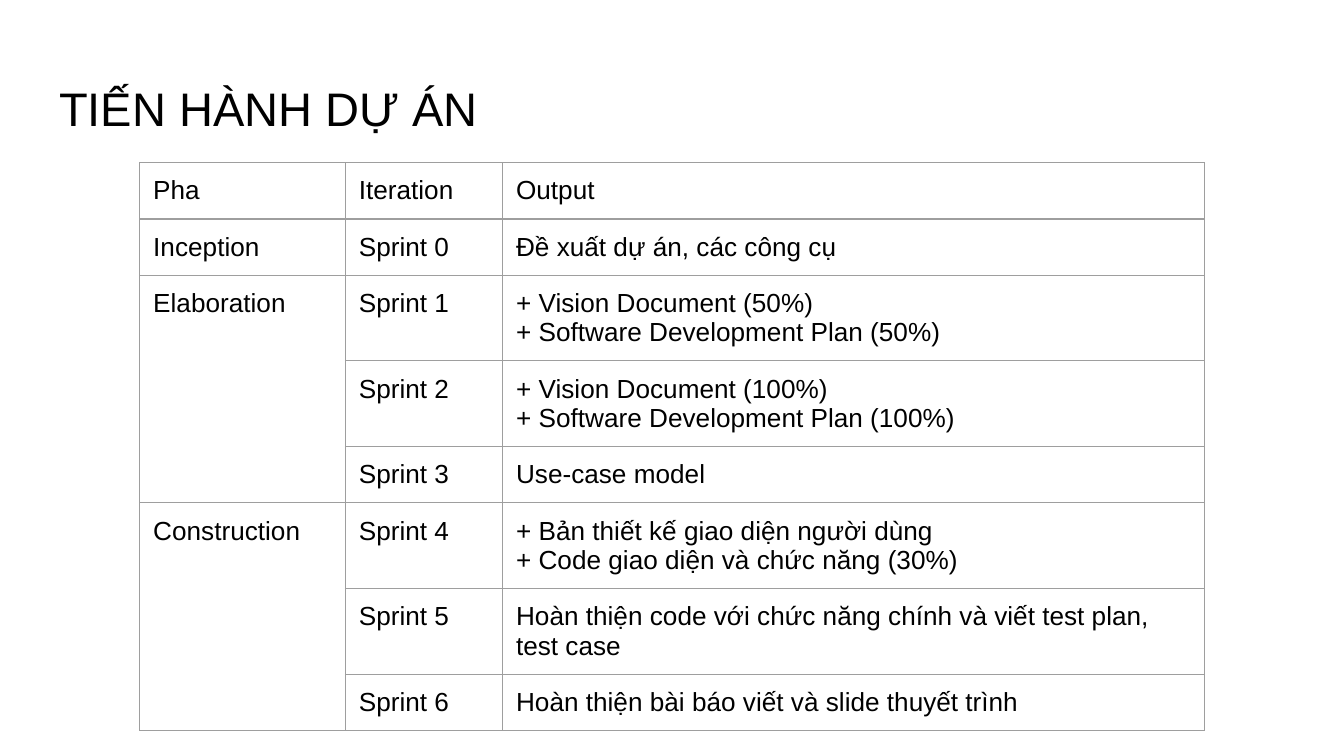
from lxml.etree import SubElement as Sub
from pptx import Presentation
from pptx.dml.color import RGBColor
from pptx.enum.text import MSO_ANCHOR as Anchor, PP_ALIGN as Align
from pptx.oxml.ns import qn
from pptx.util import Inches, Pt

BLACK = RGBColor(0x00, 0x00, 0x00)
GREY = RGBColor(0x9E, 0x9E, 0x9E)
PAD = Inches(0.1)
WIDTHS = (1.53, 1.17, 5.22)
HEIGHT = Inches(5 / 12)
PHASES = (
    ("Pha", (("Iteration", "Output"),)),
    ("Inception", (("Sprint 0", "Đề xuất dự án, các công cụ"),)),
    ("Elaboration", (
        ("Sprint 1", "+ Vision Document (50%)\n+ Software Development Plan (50%)"),
        ("Sprint 2", "+ Vision Document (100%)\n+ Software Development Plan (100%)"),
        ("Sprint 3", "Use-case model"),
    )),
    ("Construction", (
        ("Sprint 4", "+ Bản thiết kế giao diện người dùng\n+ Code giao diện và chức năng (30%)"),
        ("Sprint 5", "Hoàn thiện code với chức năng chính và viết test plan, test case"),
        ("Sprint 6", "Hoàn thiện bài báo viết và slide thuyết trình"),
    )),
)


def write(frame, text, size=14, font="Arial", color=BLACK, align=Align.LEFT):
    """Put formatted text into a frame, one paragraph a line."""
    frame.text = text
    for para in frame.paragraphs:
        para.alignment = align
        for run in para.runs:
            run.font.size = Pt(size)
            run.font.name = font
            run.font.color.rgb = color


def inset(box):
    """Set equal margins on a cell or text frame, with its text at the top."""
    box.margin_left = box.margin_right = PAD
    box.margin_top = box.margin_bottom = PAD
    box.vertical_anchor = Anchor.TOP


def edge(cell, color=GREY, width=0.75):
    """Draw a line on each side of a cell."""
    props = cell._tc.get_or_add_tcPr()
    for side in ("lnL", "lnR", "lnT", "lnB"):
        line = Sub(props, qn(f"a:{side}"), w=str(Pt(width)))
        Sub(Sub(line, qn("a:solidFill")), qn("a:srgbClr"), val=str(color))


def add_title(slide, text):
    """Place and format the slide title."""
    title = slide.shapes.title
    title.left, title.top = Inches(0.34), Inches(0.49)
    title.width, title.height = Inches(9.32), Inches(0.63)
    inset(title.text_frame)
    write(title.text_frame, text, size=25.2)


def add_plan(slide):
    """Add the table of phases, sprints and outputs."""
    count = sum(len(sprints) for _, sprints in PHASES)
    table = slide.shapes.add_table(
        count, len(WIDTHS), Inches(1.04), Inches(1.21),
        Inches(sum(WIDTHS)), HEIGHT * count).table
    table.first_row = table.horz_banding = False
    for col, width in zip(table.columns, WIDTHS):
        col.width = Inches(width)
    for row in table.rows:
        row.height = HEIGHT
    for cell in table.iter_cells():
        inset(cell)
        edge(cell)
        cell.fill.background()
    top = 0
    for phase, sprints in PHASES:
        end = top + len(sprints)
        if len(sprints) > 1:
            table.cell(top, 0).merge(table.cell(end - 1, 0))
        write(table.cell(top, 0).text_frame, phase)
        for row, texts in enumerate(sprints, top):
            for col, text in enumerate(texts, 1):
                write(table.cell(row, col).text_frame, text)
        top = end


def main():
    """Build and save the project plan slide."""
    deck = Presentation()
    deck.slide_width = Inches(10)
    deck.slide_height = deck.slide_width * 9 // 16
    slide = deck.slides.add_slide(deck.slide_layouts[5])
    add_title(slide, "TIẾN HÀNH DỰ ÁN")
    add_plan(slide)
    deck.save("out.pptx")


if __name__ == "__main__":
    main()
